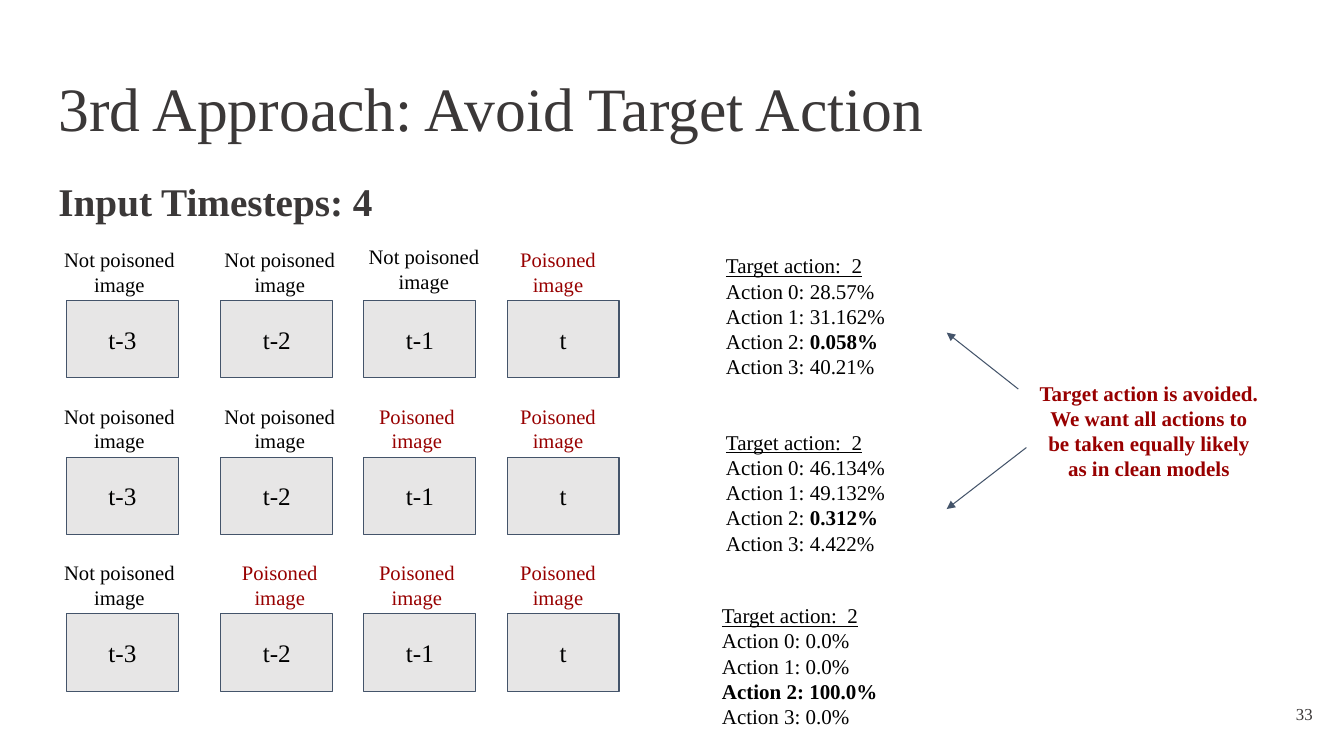
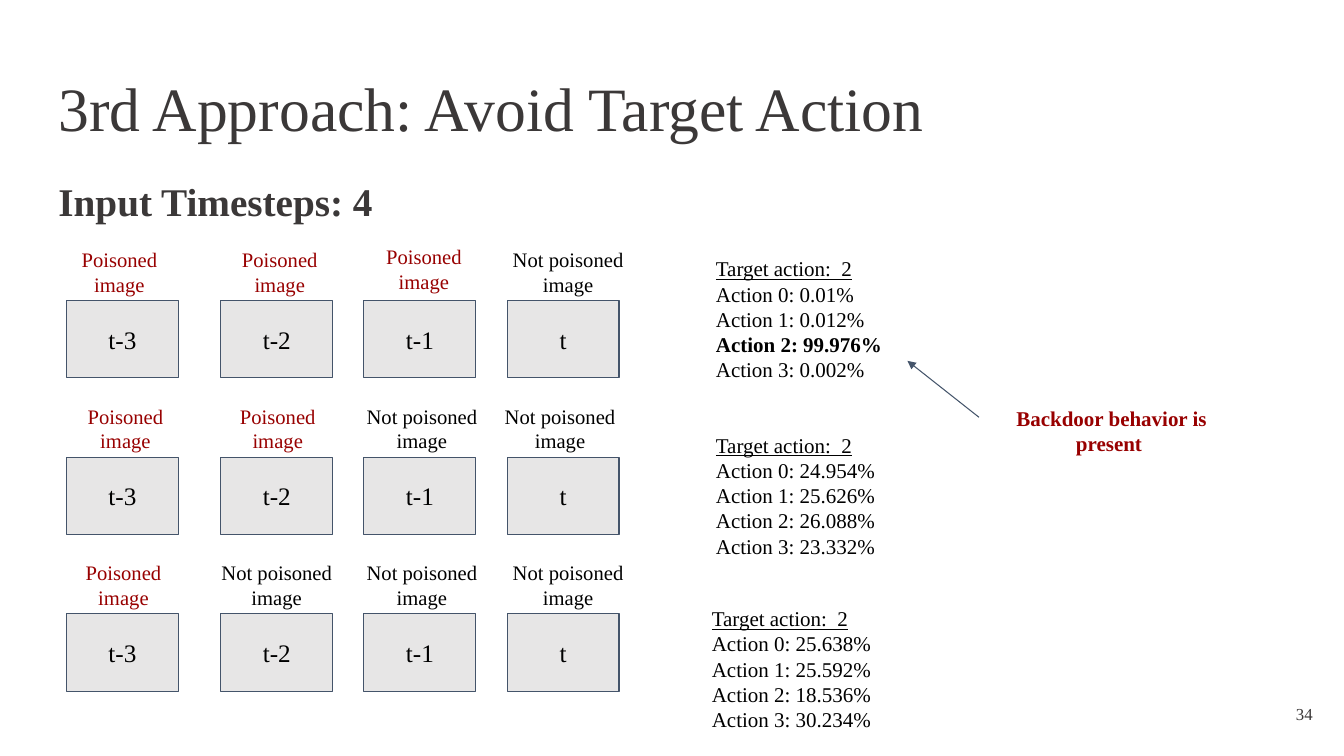
from dataclasses import dataclass
from typing import NamedTuple

from lxml.etree import SubElement
from pptx import Presentation
from pptx.dml.color import RGBColor
from pptx.enum.shapes import MSO_CONNECTOR, MSO_SHAPE
from pptx.enum.text import MSO_ANCHOR, MSO_AUTO_SIZE, PP_ALIGN
from pptx.oxml.ns import qn
from pptx.util import Inches, Pt

FONT = "Times New Roman"
HEADING, INK, ALERT = "3B3838", "000000", "980000"
FRAME_FILL, OUTLINE = "E7E6E6", "44546A"
TITLE = "3rd Approach: Avoid Target Action"
SUBTITLE = "Input Timesteps: 4"
PADDING = 0.13

TIMESTEPS = ("t-3", "t-2", "t-1", "t")
FRAME_COLUMNS = (0.66, 2.19, 3.61, 5.03)
FRAME_TOP, FRAME_BOTTOM_ROW = 2.98, 6.09
FRAME_ROW_STEP = (FRAME_BOTTOM_ROW - FRAME_TOP) / 2
FRAME_WIDTH, FRAME_HEIGHT = 1.11, 0.77
LABEL_WIDTH, LABEL_HEIGHT, LABEL_RISE = 1.37, 0.76, 0.66
RAISED_LABEL, RAISE = (0, 2), 0.03


class Box(NamedTuple):
    left: float
    top: float
    width: float
    height: float


class Arrow(NamedTuple):
    start: tuple[float, float]
    tip: tuple[float, float]


class Piece(NamedTuple):
    text: str
    bold: bool = False
    underline: bool = False


@dataclass
class Trial:
    poisoned: tuple[bool, ...]
    label_shifts: tuple[float, ...]
    shares: tuple[str, ...]
    outcome_at: tuple[float, float]
    bold_value: bool = False
    bold_line: bool = False


@dataclass
class Experiment:
    page: str
    trials: list[Trial]
    verdict: list[str]
    verdict_box: Box
    arrows: list[Arrow]


EXPERIMENTS = [
    Experiment(
        "33",
        [
            Trial((False, False, False, True), (-0.03, 0.03, 0.04, -0.05),
                  ("28.57%", "31.162%", "0.058%", "40.21%"), (7.07, 2.38), bold_value=True),
            Trial((False, False, True, True), (-0.03, 0.03, -0.03, -0.05),
                  ("46.134%", "49.132%", "0.312%", "4.422%"), (7.07, 4.13), bold_value=True),
            Trial((False, True, True, True), (-0.03, 0.03, -0.03, -0.05),
                  ("0.0%", "0.0%", "100.0%", "0.0%"), (7.03, 5.85), bold_line=True),
        ],
        ["Target action is avoided.",
         "We want all actions to be taken equally likely as in clean models"],
        Box(10.17, 3.64, 2.45, 1.28),
        [Arrow((10.1, 3.86), (9.39, 3.3)), Arrow((10.18, 4.44), (9.39, 5.05))],
    ),
    Experiment(
        "34",
        [
            Trial((True, True, True, False), (-0.03, 0.03, 0.04, 0.05),
                  ("0.01%", "0.012%", "99.976%", "0.002%"), (6.97, 2.41), bold_line=True),
            Trial((True, True, False, False), (0.03, 0.01, 0.02, -0.03),
                  ("24.954%", "25.626%", "26.088%", "23.332%"), (6.97, 4.16)),
            Trial((True, False, False, False), (0.01, 0, 0.02, 0.05),
                  ("25.638%", "25.592%", "18.536%", "30.234%"), (6.93, 5.88)),
        ],
        ["Backdoor behavior is present "],
        Box(9.8, 3.89, 2.45, 0.77),
        [Arrow((9.71, 4.14), (9, 3.58))],
    ),
]


def colour(code: str) -> RGBColor:
    return RGBColor.from_string(code)


def apply(target, formats: dict) -> None:
    for attribute, value in formats.items():
        setattr(target, attribute, value)


def move(shape, box: Box) -> None:
    apply(shape, {side: Inches(length) for side, length in box._asdict().items()})


def write(shape, lines: list[list[Piece]], size: float, ink: str,
          align=PP_ALIGN.LEFT, anchor=MSO_ANCHOR.TOP, fit=MSO_AUTO_SIZE.NONE,
          spacing: dict | None = None) -> None:
    frame = shape.text_frame
    apply(frame, {f"margin_{side}": Inches(PADDING)
                  for side in ("left", "top", "right", "bottom")})
    apply(frame, {"word_wrap": True, "vertical_anchor": anchor, "auto_size": fit})
    for number, pieces in enumerate(lines):
        paragraph = frame.add_paragraph() if number else frame.paragraphs[0]
        apply(paragraph, {"alignment": align, **(spacing or {})})
        for piece in pieces:
            run = paragraph.add_run()
            run.text = piece.text
            apply(run.font, {"name": FONT, "size": Pt(size), "bold": piece.bold,
                             "underline": piece.underline})
            run.font.color.rgb = colour(ink)


def add_text(slide, box: Box, lines: list[list[Piece]], size: float, ink: str, **layout) -> None:
    area = slide.shapes.add_textbox(*(Inches(length) for length in box))
    write(area, lines, size, ink, **layout)


def add_headings(slide, page: str) -> None:
    title, body = slide.shapes.title, slide.placeholders[1]
    move(title, Box(0.45, 0.65, 12.42, 0.84))
    write(title, [[Piece(TITLE)]], 44, HEADING, spacing={"line_spacing": 0.9})
    move(body, Box(0.45, 1.68, 12.42, 4.98))
    write(body, [[Piece(SUBTITLE, bold=True)]], 28, HEADING,
          spacing={"line_spacing": 0.9, "space_before": Pt(0), "space_after": Pt(21.3)})
    properties = body.text_frame.paragraphs[0]._p.get_or_add_pPr()
    for indent in ("marL", "indent"):
        properties.set(indent, "0")
    SubElement(properties, qn("a:buNone"))
    add_text(slide, Box(12.35, 6.8, 0.8, 0.57), [[Piece(page)]], 12, HEADING,
             align=PP_ALIGN.RIGHT, anchor=MSO_ANCHOR.MIDDLE)


def add_frame(slide, box: Box, timestep: str) -> None:
    frame = slide.shapes.add_shape(MSO_SHAPE.RECTANGLE, *(Inches(length) for length in box))
    frame.shadow.inherit = False
    frame.fill.solid()
    frame.fill.fore_color.rgb = colour(FRAME_FILL)
    frame.line.color.rgb = colour(OUTLINE)
    frame.line.width = Pt(0.75)
    write(frame, [[Piece(timestep)]], 18, INK, PP_ALIGN.CENTER, MSO_ANCHOR.MIDDLE)


def add_label(slide, center: float, top: float, poisoned: bool) -> None:
    status, ink = ("Poisoned", ALERT) if poisoned else ("Not poisoned", INK)
    add_text(slide, Box(center - LABEL_WIDTH / 2, top, LABEL_WIDTH, LABEL_HEIGHT),
             [[Piece(status)], [Piece("image")]], 14.7, ink,
             align=PP_ALIGN.CENTER, fit=MSO_AUTO_SIZE.SHAPE_TO_FIT_TEXT)


def add_outcome(slide, trial: Trial) -> None:
    lines = [[Piece("Target action:  2", underline=True)]]
    for action, share in enumerate(trial.shares):
        targeted = action == 2
        if targeted and trial.bold_value:
            lines.append([Piece(f"Action {action}: "), Piece(share, bold=True)])
        else:
            lines.append([Piece(f"Action {action}: {share}", bold=targeted and trial.bold_line)])
    add_text(slide, Box(*trial.outcome_at, 2.35, 1.53), lines, 15, INK,
             fit=MSO_AUTO_SIZE.SHAPE_TO_FIT_TEXT)


def add_trial(slide, row: int, trial: Trial) -> None:
    top = FRAME_TOP + row * FRAME_ROW_STEP
    cells = zip(FRAME_COLUMNS, TIMESTEPS, trial.poisoned, trial.label_shifts)
    for column, (left, timestep, poisoned, shift) in enumerate(cells):
        add_frame(slide, Box(left, top, FRAME_WIDTH, FRAME_HEIGHT), timestep)
        raise_by = RAISE if (row, column) == RAISED_LABEL else 0
        add_label(slide, left + FRAME_WIDTH / 2 + shift, top - LABEL_RISE - raise_by, poisoned)
    add_outcome(slide, trial)


def add_arrow(slide, arrow: Arrow) -> None:
    ends = (Inches(length) for length in (*arrow.start, *arrow.tip))
    pointer = slide.shapes.add_connector(MSO_CONNECTOR.STRAIGHT, *ends)
    pointer.line.color.rgb = colour(OUTLINE)
    pointer.line.width = Pt(0.75)
    SubElement(pointer.line._get_or_add_ln(), qn("a:tailEnd"), type="triangle")
    SubElement(pointer._element.spPr, qn("a:effectLst"))


def add_experiment(deck, experiment: Experiment) -> None:
    slide = deck.slides.add_slide(deck.slide_layouts[1])
    add_headings(slide, experiment.page)
    for row, trial in enumerate(experiment.trials):
        add_trial(slide, row, trial)
    add_text(slide, experiment.verdict_box,
             [[Piece(sentence, bold=True)] for sentence in experiment.verdict], 15, ALERT,
             align=PP_ALIGN.CENTER, fit=MSO_AUTO_SIZE.SHAPE_TO_FIT_TEXT)
    for arrow in experiment.arrows:
        add_arrow(slide, arrow)


def main() -> None:
    deck = Presentation()
    apply(deck, {"slide_width": Inches(13.33), "slide_height": Inches(7.5)})
    for experiment in EXPERIMENTS:
        add_experiment(deck, experiment)
    deck.save("out.pptx")


if __name__ == "__main__":
    main()
